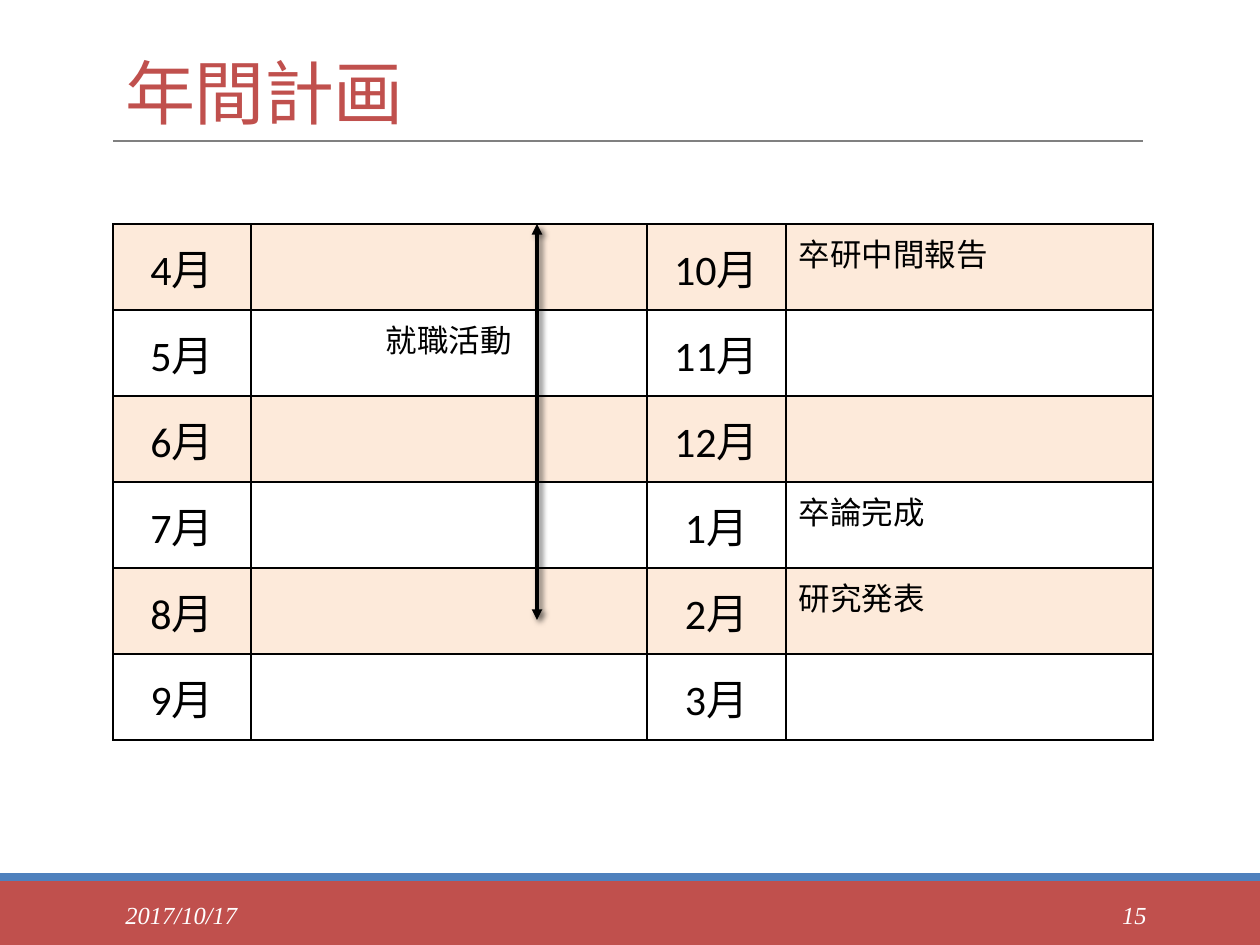
from dataclasses import dataclass

from lxml.etree import SubElement
from pptx import Presentation
from pptx.dml.color import RGBColor
from pptx.enum.shapes import MSO_CONNECTOR, MSO_SHAPE
from pptx.enum.text import MSO_ANCHOR, MSO_AUTO_SIZE, PP_ALIGN
from pptx.oxml.ns import qn
from pptx.util import Emu, Pt

PX_PER_INCH = 126
CJK = "Noto Sans CJK JP"
COLORS = {
    "red": "C0504D",
    "blue": "4F81BD",
    "gray": "808080",
    "orange": "F79646",
    "black": "000000",
    "white": "FFFFFF",
}
COLUMNS = [138, 396, 139, 367]
ROW_HEIGHT = 86


@dataclass
class Box:
    left: int
    top: int
    width: int
    height: int

    def emu(self) -> list[Emu]:
        return [px(v) for v in (self.left, self.top, self.width, self.height)]


@dataclass
class Month:
    number: int
    event: str = ""
    align: PP_ALIGN = PP_ALIGN.LEFT


FIRST_HALF = [Month(4), Month(5, "就職活動", PP_ALIGN.CENTER),
              Month(6), Month(7), Month(8), Month(9)]
SECOND_HALF = [Month(10, "卒研中間報告"), Month(11), Month(12),
               Month(1, "卒論完成"), Month(2, "研究発表"), Month(3)]


def px(value: int) -> Emu:
    return Emu(round(value * 914400 / PX_PER_INCH))


def rgb(name: str) -> RGBColor:
    return RGBColor.from_string(COLORS[name])


def add_run(p, text: str, size: int, color: str, font: str, italic=None):
    r = p.add_run()
    r.text = text
    r.font.size, r.font.name, r.font.italic = Pt(size), font, italic
    r.font.color.rgb = rgb(color)
    SubElement(r.font._element, qn("a:ea"), typeface=CJK)
    return r


def add_bar(s, box: Box, color: str) -> None:
    sp = s.shapes.add_shape(MSO_SHAPE.RECTANGLE, *box.emu())
    sp.shadow.inherit = False
    sp.fill.solid()
    sp.fill.fore_color.rgb = rgb(color)
    sp.line.fill.background()


def add_line(s, start: tuple[int, int], end: tuple[int, int], color: str, width: int):
    """Draw a line and return it with its empty effect list."""
    line = s.shapes.add_connector(
        MSO_CONNECTOR.STRAIGHT, *(px(v) for v in start + end))
    line.line.color.rgb = rgb(color)
    line.line.width = Pt(width)
    return line, SubElement(line._element.spPr, qn("a:effectLst"))


def add_period_arrow(s, x: int, top: int, bottom: int) -> None:
    arrow, effects = add_line(s, (x, top), (x, bottom), "black", 2)
    ln = arrow.line._get_or_add_ln()
    for end in ("a:headEnd", "a:tailEnd"):
        SubElement(ln, qn(end), type="triangle")
    shadow = SubElement(effects, qn("a:outerShdw"), blurRad=str(Pt(3)),
                        dist=str(Pt(2)), dir=str(45 * 60000), rotWithShape="0")
    add_alpha(SubElement(shadow, qn("a:srgbClr"), val=COLORS["black"]), 60)


def add_alpha(color_element, percent: int) -> None:
    SubElement(color_element, qn("a:alpha"), val=str(percent * 1000))


def add_footer(s, box: Box, text: str, align: PP_ALIGN) -> None:
    tf = s.shapes.add_textbox(*box.emu()).text_frame
    tf.word_wrap = True
    tf.vertical_anchor = MSO_ANCHOR.MIDDLE
    p = tf.paragraphs[0]
    p.alignment = align
    add_run(p, text, 14, "white", "Times New Roman", italic=True)


def style_cell(cell, shaded: bool) -> None:
    tcPr = cell._tc.get_or_add_tcPr()
    for side in ("a:lnL", "a:lnR", "a:lnT", "a:lnB"):
        ln = SubElement(tcPr, qn(side), w=str(Pt(1)))
        fill = SubElement(ln, qn("a:solidFill"))
        SubElement(fill, qn("a:srgbClr"), val=COLORS["black"])
    if shaded:
        cell.fill.solid()
        cell.fill.fore_color.rgb = rgb("orange")
        add_alpha(tcPr.find(f"{qn('a:solidFill')}/{qn('a:srgbClr')}"), 20)
    else:
        cell.fill.background()


def write_month(month_cell, event_cell, month: Month) -> None:
    month_cell.vertical_anchor = MSO_ANCHOR.MIDDLE
    p = month_cell.text_frame.paragraphs[0]
    p.alignment = PP_ALIGN.CENTER
    add_run(p, f"{month.number}月", 24, "black", "Calibri")
    if month.event:
        p = event_cell.text_frame.paragraphs[0]
        p.alignment = month.align
        add_run(p, month.event, 18, "black", "Calibri")


def add_schedule(s, left: int, top: int) -> None:
    rows = len(FIRST_HALF)
    box = Box(left, top, sum(COLUMNS), rows * ROW_HEIGHT)
    table = s.shapes.add_table(rows, len(COLUMNS), *box.emu()).table
    table.first_row = table.horz_banding = False
    for column, width in zip(table.columns, COLUMNS):
        column.width = px(width)
    for i, months in enumerate(zip(FIRST_HALF, SECOND_HALF)):
        table.rows[i].height = px(ROW_HEIGHT)
        cells = list(table.rows[i].cells)
        for cell in cells:
            style_cell(cell, shaded=i % 2 == 0)
        for half, month in enumerate(months):
            write_month(cells[2 * half], cells[2 * half + 1], month)


def set_title(s, box: Box, text: str) -> None:
    title = s.shapes.title
    title.left, title.top, title.width, title.height = box.emu()
    tf = title.text_frame
    tf.auto_size = MSO_AUTO_SIZE.NONE
    tf.vertical_anchor = MSO_ANCHOR.BOTTOM
    p = tf.paragraphs[0]
    p.alignment = PP_ALIGN.LEFT
    p.line_spacing = 0.85
    r = add_run(p, text, 40, "red", CJK)
    r.font._element.set("spc", "-40")


def main() -> None:
    prs = Presentation()
    prs.slide_width, prs.slide_height = px(1260), px(945)
    s = prs.slides.add_slide(prs.slide_layouts[5])
    add_bar(s, Box(0, 881, 1260, 64), "red")
    add_bar(s, Box(0, 873, 1260, 8), "blue")
    add_line(s, (113, 141), (1143, 141), "gray", 1)
    set_title(s, Box(113, 39, 1040, 101), "年間計画")
    add_schedule(s, 113, 224)
    add_period_arrow(s, 537, 224, 620)
    add_footer(s, Box(113, 890, 256, 50), "2017/10/17", PP_ALIGN.LEFT)
    add_footer(s, Box(1023, 890, 136, 50), "15", PP_ALIGN.RIGHT)
    prs.save("out.pptx")


if __name__ == "__main__":
    main()
